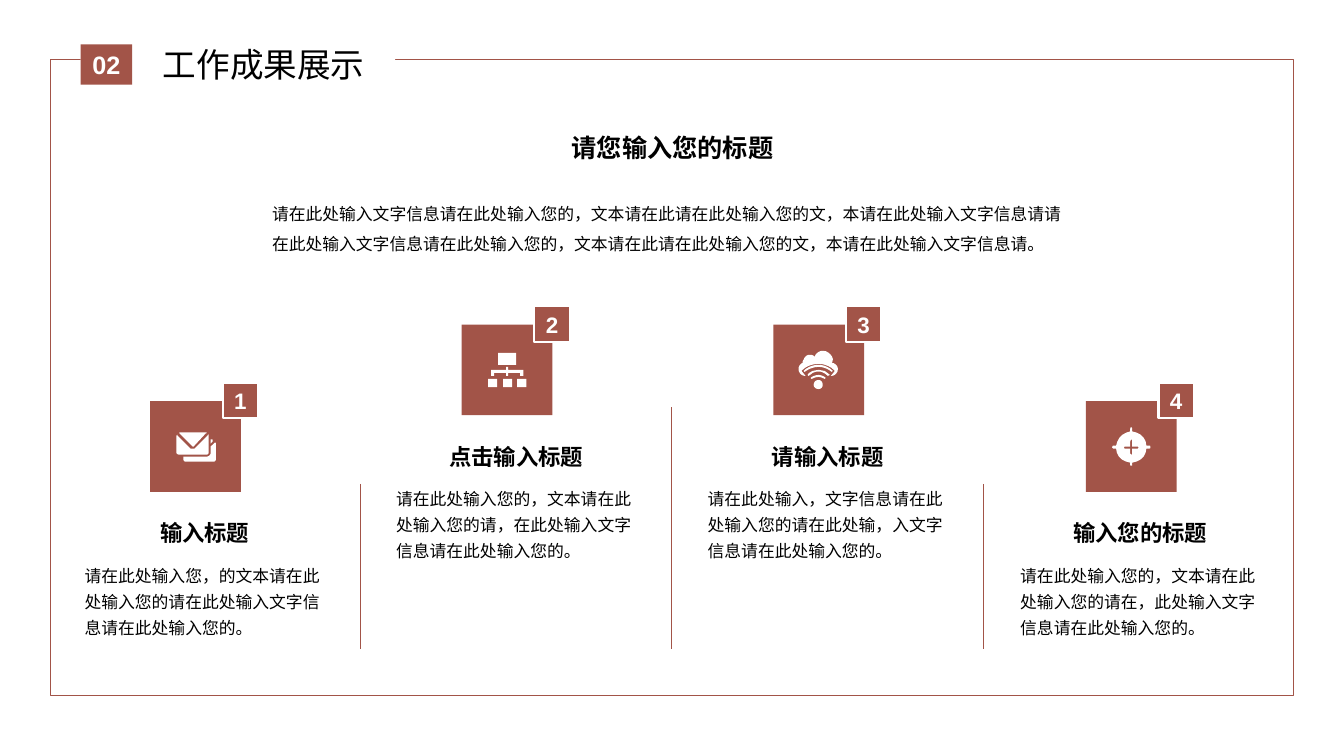
from lxml import etree
from pptx import Presentation
from pptx import util as u
from pptx.dml import color
from pptx.enum import shapes, text
from pptx.oxml import ns

COLORS = {"accent": "A25448", "paper": "FFFFFF", "ink": "000000"}

MAIL = [
    "38 10, 39 10 39 10 39 11, 39 27, 39 28 38 29 37 29, 9 29, 8 29 7 28 7 27, 7 24, 30 24, "
    "32 24 34 22 34 20, 34 14",
    "34 7, 35 7, 36 7 36 7 36 8, 36 8 36 8 36 9, 34 11",
    "1 2, 1 2 1 2 1 3, 14 16, 15 16 16 16 16 16, 17 16 18 16 18 16, 31 3, 31 2 32 2 32 2, "
    "32 3 32 3 32 3, 32 20, 32 21 31 22 30 22, 3 22, 1 22 0 21 0 20, 0 3, 0 3 1 3 1 2",
    "4 0, 29 0, 29 0 29 0 30 0, 30 0 30 1 29 1, 17 14, 17 14 16 14 16 14, 3 1, "
    "3 1 3 0 3 0, 3 0 3 0 4 0",
]
CHART = [
    "29 26, 38 26, 38 34, 29 34",
    "15 26, 24 26, 24 34, 15 34",
    "0 26, 9 26, 9 34, 0 34",
    "18 14, 20 14, 20 17, 35 17, 35 23, 32 23, 32 20, 20 20, 20 23, 18 23, 18 20, 6 20, "
    "6 23, 3 23, 3 17, 18 17",
    "10 0, 28 0, 28 12, 10 12",
]
CLOUD = [
    "20 29, 22 29 24 31 24 34, 24 36 22 38 20 38, 17 38 15 36 15 34, 15 31 17 29 20 29",
    "20 24, 22 24 25 25 27 27, 26 28, 24 27 22 26 20 26, 17 26 15 27 13 28, 12 27, "
    "14 25 17 24 20 24",
    "20 19, 22 19 24 20 26 20, 27 21 29 22 31 24, 29 25, 28 24 27 23 25 22, "
    "22 20 18 20 14 22, 13 23 11 24 10 25, 9 24, 10 22 12 21 14 20, 15 20 18 19 20 19",
    "20 14, 25 14 30 16 34 20, 33 21, 29 18 25 16 20 16, 15 16 10 18 6 21, 5 20, "
    "9 16 14 14 20 14",
    "24 0, 29 0 33 4 34 8, 34 9 34 10 33 12, 36 12 39 15 39 18, 39 22 36 25 32 25, 36 20, "
    "35 19, 31 15 25 13 20 13, 14 13 8 15 4 19, 3 20, 7 25, 3 25 0 22 0 18, "
    "0 15 2 13 4 12, 4 11 4 10 5 9, 6 6 8 4 11 4, 13 4 14 4 16 6, 17 2 21 0 24 0",
]
TARGET = [
    "37 18, 34 18, 34 11 28 5 20 4, 20 2, 20 1 20 0 19 0, 18 0 18 1 18 2, 18 4, "
    "11 5 5 11 4 18, 1 18, 1 18 0 19 0 20, 0 20 1 21 1 21, 4 21, 4 28 10 34 18 35, 18 37, "
    "18 38 18 38 19 38, 20 38 20 38 20 37, 20 35, 28 34 34 28 34 21, 37 21, "
    "38 21 38 20 38 20, 38 19 38 18 37 18",
    "25 21, 20 21, 20 26, 20 26 20 27 19 27, 19 27 18 26 18 26, 18 21, 13 21, "
    "12 21 12 21 12 20, 12 19 12 19 13 19, 18 19, 18 14, 18 13 19 12 19 12, "
    "20 12 20 13 20 14, 20 19, 25 19, 26 19 26 19 26 20, 26 21 26 21 25 21",
]


def outline(contour):
    points = []
    for step in contour.split(", "):
        n = [int(v) * 10 for v in step.split()]
        if len(n) == 2:
            points.append(tuple(n))
            continue
        knots = [points[-1], n[0:2], n[2:4], n[4:6]]
        for t in (0.2, 0.4, 0.6, 0.8, 1):
            w = ((1 - t) ** 3, 3 * t * (1 - t) ** 2, 3 * t * t * (1 - t), t ** 3)
            points.append(tuple(sum(a * k[axis] for a, k in zip(w, knots)) for axis in (0, 1)))
    return points


class Deck:
    PX = 9144
    CJK = "Noto Sans CJK SC"

    def __init__(self, prs):
        self.slide = prs.slides.add_slide(prs.slide_layouts[6])

    def px(self, *lengths):
        return [u.Emu(n * self.PX) for n in lengths]

    def rgb(self, name):
        return color.RGBColor.from_string(COLORS[name])

    def paint(self, s, fill, line=None, weight=1):
        s.shadow.inherit = False
        s.fill.solid()
        s.fill.fore_color.rgb = self.rgb(fill)
        if line:
            s.line.color.rgb = self.rgb(line)
            s.line.width = u.Pt(weight)
        else:
            s.line.fill.background()

    def label(self, s, words, size, font, ink, bold, align, anchor, spacing=None):
        tf = s.text_frame
        tf.vertical_anchor = anchor
        p = tf.paragraphs[0]
        p.alignment = align
        if spacing:
            p.line_spacing = spacing
        r = p.add_run()
        r.text = words
        r.font.size = u.Pt(size)
        r.font.bold = bold
        r.font.name = font
        r.font.color.rgb = self.rgb(ink)
        etree.SubElement(r.font._element, ns.qn("a:ea")).set("typeface", font)

    def box(self, at, fill, line=None, weight=1):
        s = self.slide.shapes.add_shape(shapes.MSO_SHAPE.RECTANGLE, *self.px(*at))
        self.paint(s, fill, line, weight)
        return s

    def badge(self, at, words, size, line=None):
        s = self.box(at, "accent", line, 1.5)
        s.text_frame.word_wrap = False
        self.label(s, words, size, "Arial", "paper", True,
                   text.PP_ALIGN.CENTER, text.MSO_ANCHOR.MIDDLE)

    def title(self, at, words, size, bold=True, anchor=text.MSO_ANCHOR.MIDDLE):
        s = self.slide.shapes.add_textbox(*self.px(*at))
        s.text_frame.word_wrap = True
        self.label(s, words, size, self.CJK, "ink", bold, text.PP_ALIGN.CENTER, anchor)

    def body(self, at, words, spacing):
        s = self.slide.shapes.add_textbox(*self.px(*at))
        s.text_frame.word_wrap = True
        self.label(s, words, 12, self.CJK, "ink", False,
                   text.PP_ALIGN.LEFT, text.MSO_ANCHOR.TOP, spacing)

    def icon(self, x, y, contours):
        first, *rest = [outline(c) for c in contours]
        builder = self.slide.shapes.build_freeform(*first[0], scale=self.PX / 10)
        builder.add_line_segments(first[1:])
        for points in rest:
            builder.move_to(*points[0])
            builder.add_line_segments(points[1:])
        self.paint(builder.convert_to_shape(*self.px(x, y)), "paper")

    def divider(self, x, top, bottom):
        s = self.slide.shapes.add_connector(
            shapes.MSO_CONNECTOR.STRAIGHT, *self.px(x, top, x, bottom))
        s.line.color.rgb = self.rgb("accent")
        s.line.width = u.Pt(0.25)
        etree.SubElement(s._element.spPr, ns.qn("a:effectLst"))


CARDS = [
    (398, MAIL, 26, 31, "输入标题",
     "请在此处输入您，的文本请在此处输入您的请在此处输入文字信息请在此处输入您的。"),
    (322, CHART, 26, 28, "点击输入标题",
     "请在此处输入您的，文本请在此处输入您的请，在此处输入文字信息请在此处输入您的。"),
    (322, CLOUD, 25, 26, "请输入标题",
     "请在此处输入，文字信息请在此处输入您的请在此处输，入文字信息请在此处输入您的。"),
    (398, TARGET, 26, 26, "输入您的标题",
     "请在此处输入您的，文本请在此处输入您的请在，此处输入文字信息请在此处输入您的。"),
]


def main():
    prs = Presentation()
    prs.slide_width, prs.slide_height = u.Inches(13.33), u.Inches(7.5)
    deck = Deck(prs)
    deck.box((50, 59, 1233, 631), "paper", "accent")
    deck.box((80, 15, 312, 98), "paper")
    deck.title((131, 39, 261, 50), "工作成果展示", 24, bold=False)
    deck.badge((80, 44, 51, 40), "02", 18)
    deck.title((345, 117, 644, 49), "请您输入您的标题", 18, anchor=text.MSO_ANCHOR.BOTTOM)
    deck.body((260, 187, 813, 82),
              "请在此处输入文字信息请在此处输入您的，文本请在此请在此处输入您的文，"
              "本请在此处输入文字信息请请在此处输入文字信息请在此处输入您的，"
              "文本请在此请在此处输入您的文，本请在此处输入文字信息请。", 1.5)
    for i, (top, icon, dx, dy, heading, words) in enumerate(CARDS):
        left = 74 + i * 928 // 3
        tile = left + 75
        deck.body((left, top + 152, 258, 94), words, 1.3)
        deck.title((left, top + 109, 258, 43), heading, 16)
        deck.box((tile, top, 90, 90), "accent")
        deck.icon(tile + dx, top + dy, icon)
        deck.badge((tile + 72, top - 18, 35, 35), str(i + 1), 16, "paper")
        if i + 1 < len(CARDS):
            deck.divider(left + 283, max(top, CARDS[i + 1][0]) + 82, 644)
    prs.save("out.pptx")


if __name__ == "__main__":
    main()
